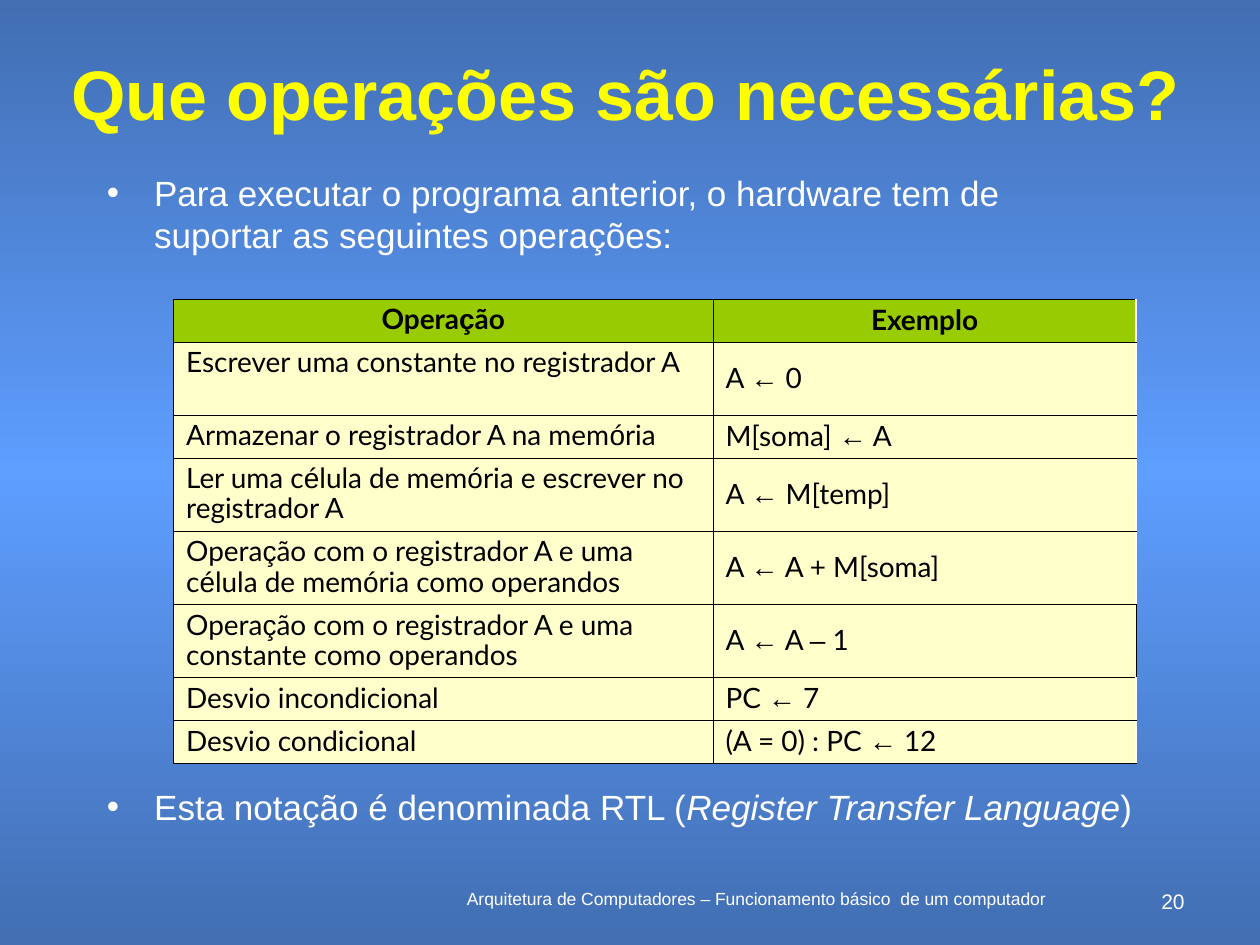
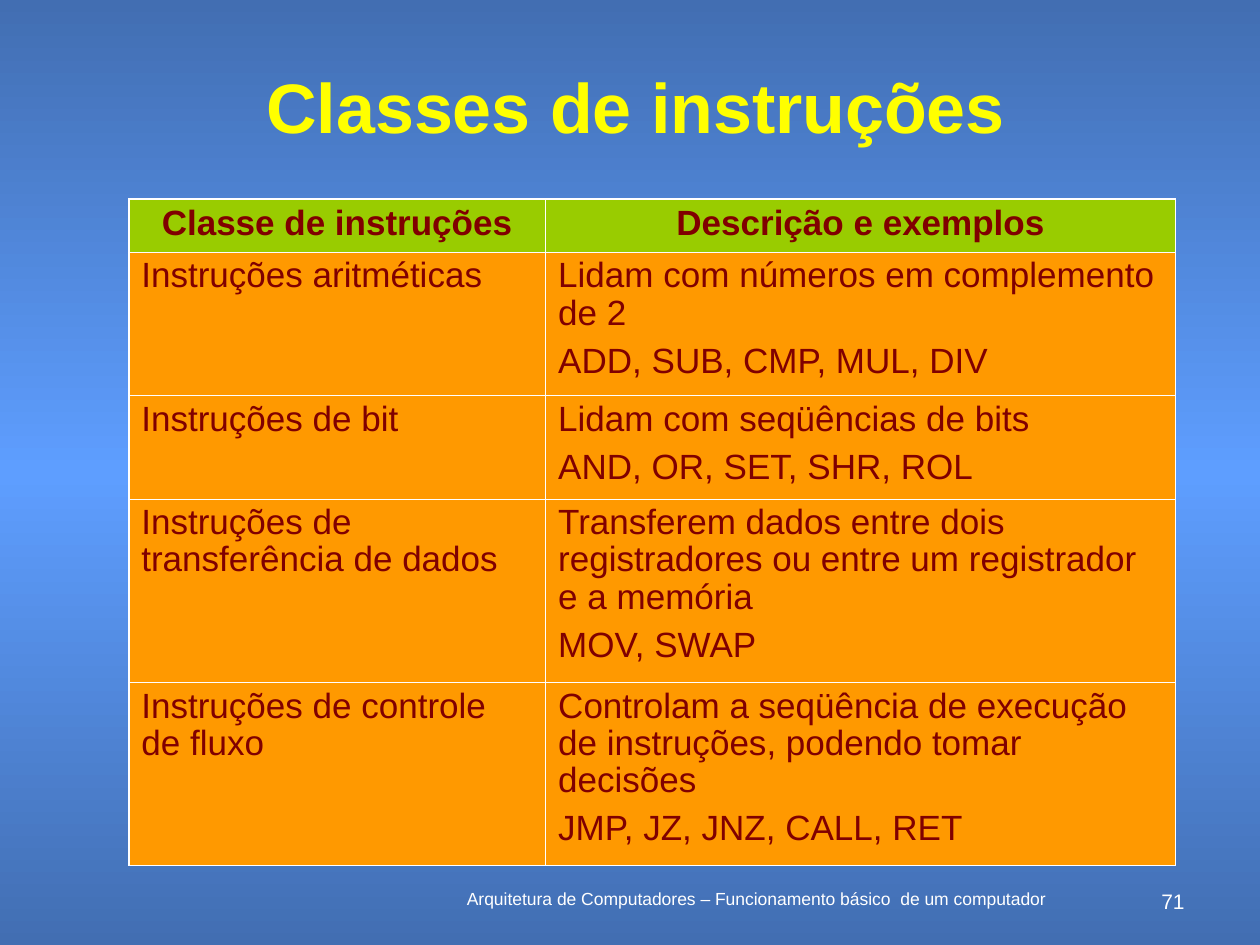
"""Build two computer architecture slides, each with a title, a table and a footer."""
from copy import deepcopy
from itertools import groupby

from lxml.etree import SubElement
from pptx import Presentation
from pptx.dml.color import RGBColor
from pptx.enum.text import MSO_ANCHOR, PP_ALIGN
from pptx.oxml.ns import qn
from pptx.util import Pt

WHITE = RGBColor(0xFF, 0xFF, 0xFF)
BLACK = RGBColor(0x00, 0x00, 0x00)
YELLOW = RGBColor(0xFF, 0xFF, 0x00)
CREAM = RGBColor(0xFF, 0xFF, 0xCC)
GREEN = RGBColor(0x99, 0xCC, 0x00)
ORANGE = RGBColor(0xFF, 0x99, 0x00)
MAROON = RGBColor(0x80, 0x00, 0x00)
DARK_BLUE = RGBColor(0x42, 0x6E, 0xB2)
LIGHT_BLUE = RGBColor(0x5E, 0x9E, 0xFF)

FOOTER = "Arquitetura de Computadores – Funcionamento básico  de um computador"
ARIAL_SYMBOLS = "çéó←–"
THIN, THICK = Pt(0.45), Pt(1.08)

OPERATIONS = [
    ("Operação", "Exemplo"),
    ("Escrever uma constante no registrador A", "A ← 0"),
    ("Armazenar o registrador A na memória", "M[soma] ← A"),
    ("Ler uma célula de memória e escrever no registrador A", "A ← M[temp]"),
    ("Operação com o registrador A e uma célula de memória como operandos", "A ← A + M[soma]"),
    ("Operação com o registrador A e uma constante como operandos", "A ← A – 1"),
    ("Desvio incondicional", "PC ← 7"),
    ("Desvio condicional", "(A = 0) : PC ← 12"),
]
BLACK_EDGE_ROW = 5

INSTRUCTION_CLASSES = [
    ("Classe de instruções", "Descrição e exemplos"),
    ("Instruções aritméticas",
     "Lidam com números em complemento de 2\nADD, SUB, CMP, MUL, DIV"),
    ("Instruções de bit", "Lidam com seqüências de bits\nAND, OR, SET, SHR, ROL"),
    ("Instruções de transferência de dados",
     "Transferem dados entre dois registradores ou entre um registrador e a memória\nMOV, SWAP"),
    ("Instruções de controle de fluxo",
     "Controlam a seqüência de execução de instruções, podendo tomar decisões\n"
     "JMP, JZ, JNZ, CALL, RET"),
]


def add_text_box(slide, left, top, width, height, anchor=MSO_ANCHOR.TOP):
    text_frame = slide.shapes.add_textbox(Pt(left), Pt(top), Pt(width), Pt(height)).text_frame
    text_frame.word_wrap = True
    text_frame.vertical_anchor = anchor
    return text_frame


def write(paragraph, text, size, colour, font="Arial", bold=False, italic=False):
    run = paragraph.add_run()
    run.text = text
    run.font.name = font
    run.font.size = Pt(size)
    run.font.color.rgb = colour
    run.font.bold = bold
    run.font.italic = italic


presentation = Presentation()
presentation.slide_width, presentation.slide_height = Pt(720), Pt(540)

slides = []
for title, number, left, top, width in [
    ("Que operações são necessárias?", "20", 25.2, 28.8, 663.8),
    ("Classes de instruções", "71", 37.4, 36, 651.6),
]:
    slide = presentation.slides.add_slide(presentation.slide_layouts[6])
    slides.append(slide)
    background = slide.background.fill
    background.gradient()
    background.gradient_angle = 90
    for stop in background.gradient_stops:
        stop.color.rgb = DARK_BLUE
    first_stop = slide.element.find(".//" + qn("a:gs"))
    first_stop.addnext(deepcopy(first_stop))
    middle_stop = background.gradient_stops[1]
    middle_stop.position = 0.5
    middle_stop.color.rgb = LIGHT_BLUE

    for text, box, anchor, alignment, size, colour, bold in [
        (FOOTER, (240, 504, 384, 18), MSO_ANCHOR.TOP, PP_ALIGN.CENTER, 10, WHITE, False),
        (number, (653.8, 504, 30.2, 12.2), MSO_ANCHOR.TOP, PP_ALIGN.RIGHT, 12, WHITE, False),
        (title, (left, top, width, 48.2), MSO_ANCHOR.MIDDLE, PP_ALIGN.CENTER, 40, YELLOW, True),
    ]:
        paragraph = add_text_box(slide, *box, anchor).paragraphs[0]
        paragraph.alignment = alignment
        write(paragraph, text, size, colour, bold=bold)

operations_slide, classes_slide = slides

for box, line_spacing, runs in [
    ((54, 94.3, 594.7, 60.5), 1.0,
     [("Para executar o programa anterior, o hardware tem de suportar as seguintes operações:", False)]),
    ((54, 447.8, 617.8, 38.9), 0.9,
     [("Esta notação é denominada RTL (", False), ("Register Transfer Language", True), (")", False)]),
]:
    paragraph = add_text_box(operations_slide, *box).paragraphs[0]
    properties = paragraph._p.get_or_add_pPr()
    properties.set("marL", str(Pt(27)))
    properties.set("indent", str(Pt(-27)))
    bullet_colour = SubElement(properties, qn("a:buClr"))
    SubElement(bullet_colour, qn("a:srgbClr"), val=str(WHITE))
    SubElement(properties, qn("a:buFont"), typeface="Arial")
    SubElement(properties, qn("a:buChar"), char="•")
    paragraph.line_spacing = line_spacing
    for text, italic in runs:
        write(paragraph, text, 20, WHITE, italic=italic)

for slide, rows, left, top, widths, heights, size, colour, body_fill, font, line_spacing in [
    (operations_slide, OPERATIONS, 99.2, 171.2, (308.2, 241.9),
     (24.5, 41.8, 24.5, 41.8, 41.8, 41.8, 24.5, 24.5), 16, BLACK, CREAM, "Lato", 0.9),
    (classes_slide, INSTRUCTION_CLASSES, 73.6, 113.8, (238.2, 360),
     (30.2, 81.8, 59.2, 104.6, 104.6), 20, MAROON, ORANGE, "Arial", 0.95),
]:
    table = slide.shapes.add_table(
        len(rows), 2, Pt(left), Pt(top), Pt(sum(widths)), Pt(sum(heights))).table
    table.horz_banding = False
    for column, width in zip(table.columns, widths):
        column.width = Pt(width)
    for row_index, (row, height) in enumerate(zip(rows, heights)):
        table.rows[row_index].height = Pt(height)
        is_header = row_index == 0
        for column_index, text in enumerate(row):
            cell = table.cell(row_index, column_index)
            cell.margin_left = cell.margin_right = Pt(7.2)
            cell.margin_top = cell.margin_bottom = Pt(3.6)

            if slide is operations_slide:
                borders = dict.fromkeys("LRTB", (BLACK, THIN))
                if column_index == 1:
                    cell.vertical_anchor = MSO_ANCHOR.MIDDLE
                    if row_index != BLACK_EDGE_ROW:
                        borders["R"] = (WHITE, THICK)
            else:
                outer_sides = {"L": column_index == 0, "R": column_index == 1,
                               "T": is_header, "B": row_index == len(rows) - 1}
                borders = {side: (WHITE, THICK if outer else THIN)
                           for side, outer in outer_sides.items()}
            for side, (line_colour, line_width) in borders.items():
                line = SubElement(cell._tc.get_or_add_tcPr(), qn("a:ln" + side), w=str(line_width))
                line_fill = SubElement(line, qn("a:solidFill"))
                SubElement(line_fill, qn("a:srgbClr"), val=str(line_colour))
            cell.fill.solid()
            cell.fill.fore_color.rgb = GREEN if is_header else body_fill

            for line_index, line_text in enumerate(text.split("\n")):
                if line_index == 0:
                    paragraph = cell.text_frame.paragraphs[0]
                else:
                    paragraph = cell.text_frame.add_paragraph()
                    paragraph.space_before = Pt(6.2)
                paragraph.line_spacing = line_spacing
                paragraph.alignment = PP_ALIGN.CENTER if is_header else PP_ALIGN.LEFT
                for run_font, characters in groupby(
                        line_text, lambda character: "Arial" if character in ARIAL_SYMBOLS else font):
                    write(paragraph, "".join(characters), size, colour, run_font, bold=is_header)

presentation.save("out.pptx")
